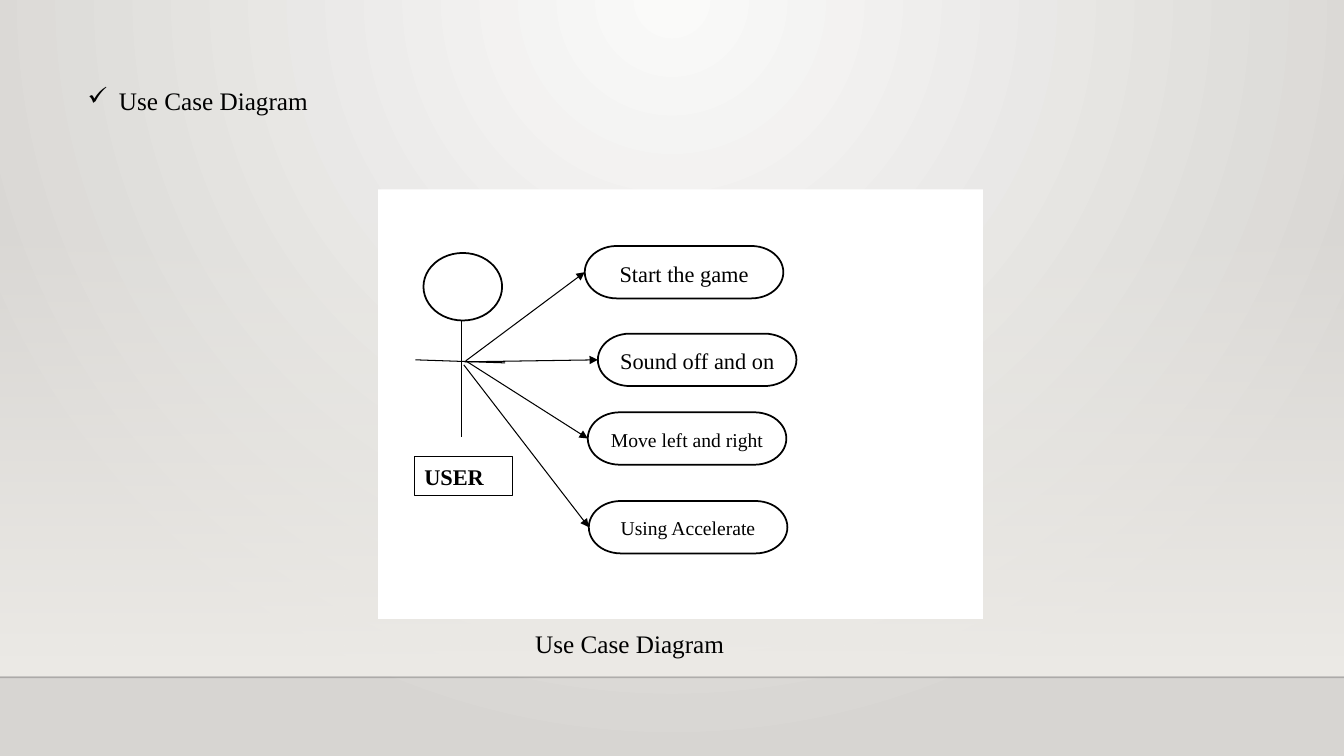
from pptx import Presentation
from pptx.dml.color import RGBColor
from pptx.enum import shapes, text
from pptx.oxml import parse_xml
from pptx.oxml.ns import nsdecls, qn
from pptx.util import Inches, Pt

THEME = {
    "font": "Times New Roman", "ink": "000000", "paper": "FFFFFF",
    "glow": "FAFAF9", "edge": "D7D5D2", "wall": "EDEBE7", "skirting": "000001",
    "heading": 18, "large": 16, "small": 14,
    "outline": 1.25, "thin": 0.75, "hairline": 0.5,
}
KIND = shapes.MSO_SHAPE
ALIGN = text.PP_ALIGN
ANCHOR = text.MSO_ANCHOR


def draw(part, line_width=None, fill=THEME["paper"], line=THEME["ink"]):
    """Give a shape or connector its fill and line, without shadow."""
    if hasattr(part, "fill"):
        part.shadow.inherit = False
        part.fill.solid()
        part.fill.fore_color.rgb = RGBColor.from_string(fill)
    else:
        part._element.spPr.append(parse_xml(f"<a:effectLst {nsdecls('a')}/>"))
    if line_width:
        part.line.color.rgb = RGBColor.from_string(line)
        part.line.width = Pt(line_width)
    else:
        part.line.fill.background()
    return part


def write(part, words, size, bold=False, frame_format=None, paragraph_format=None):
    """Write one paragraph with the given frame and paragraph formats."""
    frame = part.text_frame
    frame.text = words
    paragraph = frame.paragraphs[0]
    formats = [
        (frame, {"word_wrap": True, "vertical_anchor": ANCHOR.TOP, **(frame_format or {})}),
        (paragraph, {"alignment": ALIGN.LEFT, **(paragraph_format or {})}),
        (paragraph.runs[0].font, {"name": THEME["font"], "size": Pt(size), "bold": bold}),
    ]
    for target, values in formats:
        for name, value in values.items():
            setattr(target, name, value)
    paragraph.runs[0].font.color.rgb = RGBColor.from_string(THEME["ink"])
    return paragraph


deck = Presentation()
deck.slide_width, deck.slide_height = Inches(13.33), Inches(7.5)
slide = deck.slides.add_slide(deck.slide_layouts[5])
items = slide.shapes

# Background: a glow from the top centre, a fading wall and a floor line
slide.background.fill.solid()
backdrop = slide.background._cSld.bg.bgPr
wall = draw(items.add_shape(KIND.RECTANGLE, 0, Inches(2.2), Inches(13.33), Inches(4.5)))
glow_path = '<a:path path="circle"><a:fillToRect l="43000" r="43000" b="100000"/></a:path>'
gradients = [
    (backdrop, THEME["glow"], THEME["edge"], 100, glow_path),
    (wall._element.spPr, THEME["wall"], THEME["wall"], 0, '<a:lin ang="5400000" scaled="0"/>'),
]
for owner, first, last, opacity, direction in gradients:
    owner.replace(owner.find(qn("a:solidFill")), parse_xml(
        f'<a:gradFill {nsdecls("a")} rotWithShape="1"><a:gsLst>'
        f'<a:gs pos="0"><a:srgbClr val="{first}"><a:alpha val="{opacity * 1000}"/></a:srgbClr></a:gs>'
        f'<a:gs pos="100000"><a:srgbClr val="{last}"/></a:gs></a:gsLst>{direction}</a:gradFill>'))
floor_line = draw(items.add_connector(
    shapes.MSO_CONNECTOR.STRAIGHT, 0, Inches(6.72), Inches(13.33), Inches(6.72)),
    1, line=THEME["skirting"])
floor_line.line._ln.find(".//" + qn("a:srgbClr")).append(
    parse_xml(f'<a:alpha {nsdecls("a")} val="20000"/>'))

# Heading and caption
heading = items.title
for name, value in {"left": 0.77, "top": 0.8, "width": 5.68, "height": 0.4}.items():
    setattr(heading, name, Inches(value))
heading_line = write(heading, "Use Case Diagram", THEME["heading"],
                     frame_format={"auto_size": text.MSO_AUTO_SIZE.NONE},
                     paragraph_format={"line_spacing": 1.0, "space_before": Pt(0)})
heading_properties = heading_line._p.get_or_add_pPr()
heading_properties.set("marL", str(Inches(0.31)))
heading_properties.set("indent", str(-Inches(0.31)))
heading_properties.append(parse_xml(f'<a:buChar {nsdecls("a")} char="\u2713"/>'))
caption = items.add_textbox(Inches(5.21), Inches(6.18), Inches(2.23), Inches(0.4))
write(caption, "Use Case Diagram", THEME["heading"])

# Panel and the actor
draw(items.add_shape(KIND.RECTANGLE, Inches(3.75), Inches(1.88), Inches(6), Inches(4.26)))
draw(items.add_shape(KIND.OVAL, Inches(4.2), Inches(2.51), Inches(0.78), Inches(0.67)),
     THEME["outline"])
body, arms = (4.58, 3.18, 4.58, 4.34), (4.12, 3.57, 5.01, 3.6)
for limb in (body, arms):
    draw(items.add_connector(shapes.MSO_CONNECTOR.STRAIGHT, *map(Inches, limb)), THEME["thin"])
spacing = {"line_spacing": 1.07, "space_after": Pt(8)}
actor_label = draw(items.add_shape(
    KIND.RECTANGLE, Inches(4.11), Inches(4.53), Inches(0.97), Inches(0.38)), THEME["hairline"])
write(actor_label, "USER", THEME["large"], bold=True, paragraph_format=spacing)

# Use cases: words, size, left, top, and where the arrow leaves the actor
use_cases = [
    ("Start the game", "large", 5.8, 2.44, (4.62, 3.58)),
    ("Sound off and on", "large", 5.93, 3.31, (4.61, 3.59)),
    ("Move left and right", "small", 5.83, 4.09, (4.62, 3.58)),
    ("Using Accelerate", "small", 5.84, 4.97, (4.6, 3.62)),
]
LEFT_SITE = 1
for words, size, left, top, hand in use_cases:
    use_case = draw(items.add_shape(
        KIND.FLOWCHART_TERMINATOR, Inches(left), Inches(top), Inches(1.97), Inches(0.52)),
        THEME["outline"])
    write(use_case, words, THEME[size], frame_format={"vertical_anchor": ANCHOR.MIDDLE},
          paragraph_format={"alignment": ALIGN.CENTER, **spacing})
    start = [Inches(value) for value in hand]
    arrow = draw(items.add_connector(shapes.MSO_CONNECTOR.STRAIGHT, *start, *start), THEME["thin"])
    arrow.end_connect(use_case, LEFT_SITE)
    arrow.line._ln.append(parse_xml(f'<a:tailEnd {nsdecls("a")} type="triangle"/>'))

deck.save("out.pptx")
